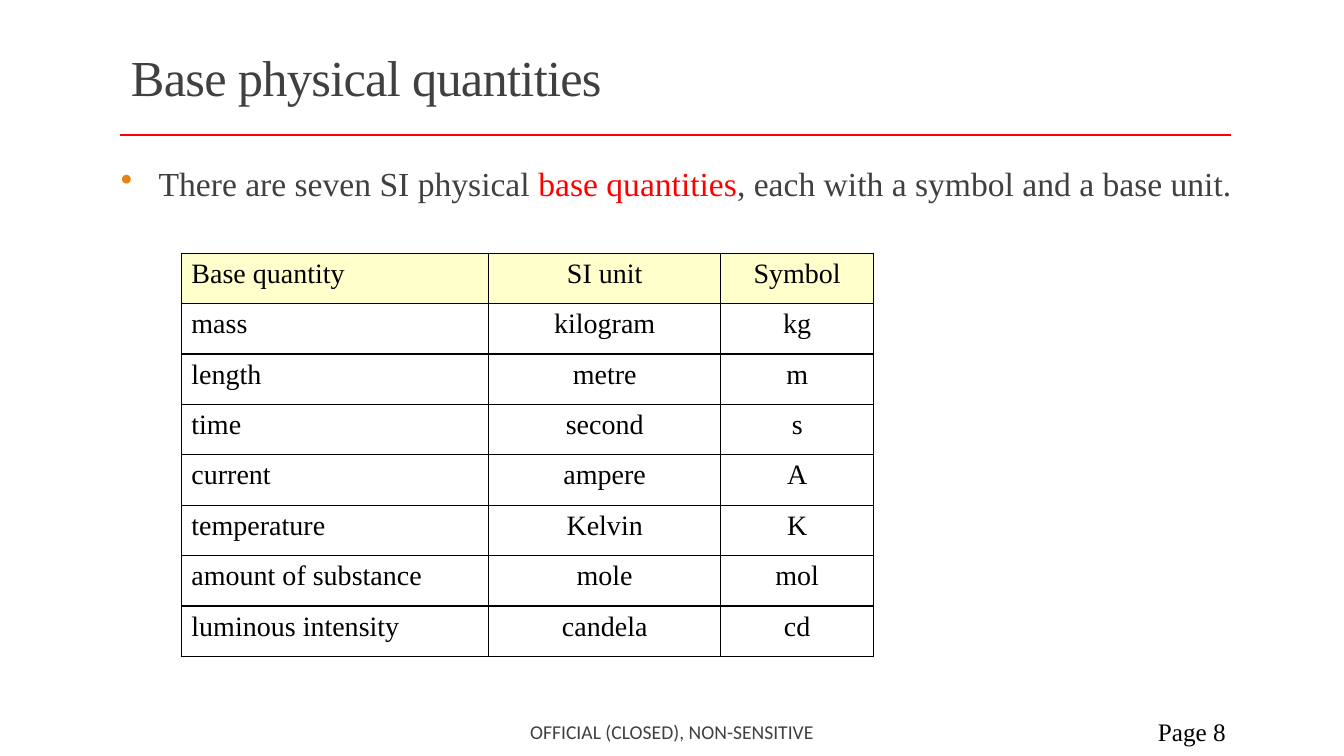
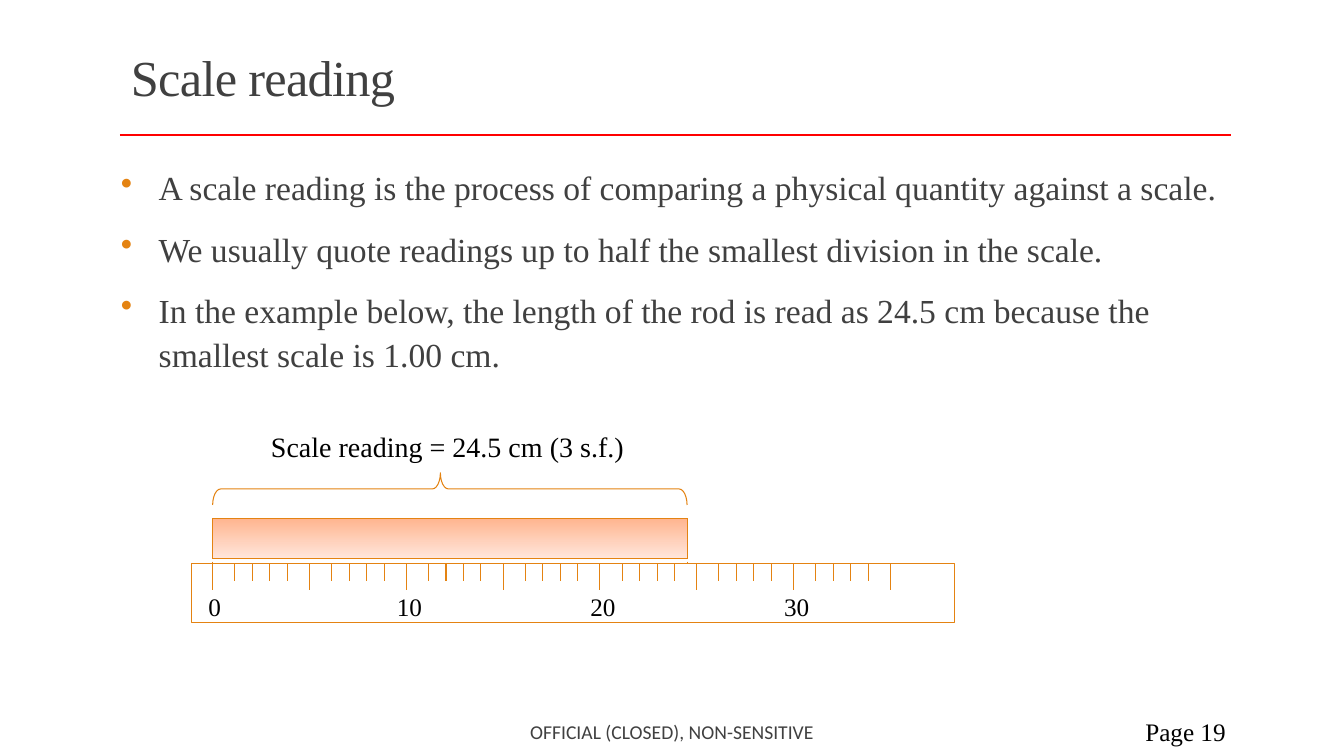
from dataclasses import dataclass
from typing import Optional

from lxml import etree
from pptx import Presentation
from pptx import util as u
from pptx.dml import color as col
from pptx.enum import dml, shapes, text
from pptx.oxml import ns


@dataclass(frozen=True)
class Theme:
    serif: str = "Times New Roman"
    sans: str = "Calibri"
    ink: str = "404040"
    black: str = "000000"
    red: str = "FF0000"
    accent: str = "E48312"
    header_fill: str = "FFFFCC"
    rod_top: str = "FFB48E"
    rod_bottom: str = "FFE7DD"
    title_size: float = 36
    body_size: float = 24
    table_size: float = 20
    label_size: float = 18
    footer_size: float = 14
    thin: float = 0.75
    border: float = 1
    rule: float = 2


@dataclass(frozen=True)
class Box:
    left: float
    top: float
    width: float
    height: float

    def emu(self) -> tuple:
        return tuple(u.Cm(v) for v in (self.left, self.top, self.width, self.height))


@dataclass(frozen=True)
class Run:
    words: str
    size: float
    color: str
    font: str = "Times New Roman"


@dataclass(frozen=True)
class BulletStyle:
    before: float
    after: float = 6
    line: Optional[float] = None


THEME = Theme()
LEFT, CENTER, RIGHT = text.PP_ALIGN.LEFT, text.PP_ALIGN.CENTER, text.PP_ALIGN.RIGHT
TOP, MIDDLE = text.MSO_ANCHOR.TOP, text.MSO_ANCHOR.MIDDLE

TITLE_BOX = Box(3.05, 0.79, 27.94, 2.49)
BODY_BOX = Box(3.05, 3.99, 28, 13)
FOOTER_BOX = Box(10.24, 17.93, 13.39, 1.02)
PAGE_BOX = Box(27.51, 17.93, 3.63, 1.02)
RULE_LEFT, RULE_RIGHT, RULE_Y = 3.02, 31.01, 3.4

QUANTITIES = [
    ("Base quantity", "SI unit", "Symbol"),
    ("mass", "kilogram", "kg"),
    ("length", "metre", "m"),
    ("time", "second", "s"),
    ("current", "ampere", "A"),
    ("temperature", "Kelvin", "K"),
    ("amount of substance", "mole", "mol"),
    ("luminous intensity", "candela", "cd"),
]
COLUMN_WIDTHS = (7.75, 5.84, 3.86)
ROW_HEIGHT = 1.27

RULER = Box(4.83, 14.2, 19.23, 1.5)
RULER_ZERO = 5.36
MAJOR_STEP = 2.44
MAJOR_COUNT = 8
MINOR_OFFSETS = [0.56 + 0.44 * k for k in range(4)]
READING = 24.5
ROD = Box(RULER_ZERO, 13.06, READING / 5 * MAJOR_STEP, 1.02)


def rgb(value: str) -> col.RGBColor:
    return col.RGBColor.from_string(value)


def add_run(paragraph, run: Run):
    added = paragraph.add_run()
    added.text = run.words
    added.font.size = u.Pt(run.size)
    added.font.name = run.font
    added.font.color.rgb = rgb(run.color)
    return added


def add_text(slide, box: Box, run: Run, align=LEFT, anchor=TOP):
    frame = slide.shapes.add_textbox(*box.emu()).text_frame
    frame.word_wrap = True
    frame.vertical_anchor = anchor
    frame.paragraphs[0].alignment = align
    return frame.paragraphs[0], add_run(frame.paragraphs[0], run)


def add_line(slide, x1: float, y1: float, x2: float, y2: float,
             color: str, width: float, dashed: bool = False) -> None:
    line = slide.shapes.add_connector(
        shapes.MSO_CONNECTOR.STRAIGHT, u.Cm(x1), u.Cm(y1), u.Cm(x2), u.Cm(y2))
    line.line.color.rgb = rgb(color)
    line.line.width = u.Pt(width)
    if dashed:
        line.line.dash_style = dml.MSO_LINE.DASH
    etree.SubElement(line._element.spPr, ns.qn("a:effectLst"))


def add_outline(slide, preset, box: Box):
    outline = slide.shapes.add_shape(preset, *box.emu())
    outline.shadow.inherit = False
    outline.fill.background()
    outline.line.color.rgb = rgb(THEME.accent)
    outline.line.width = u.Pt(THEME.thin)
    return outline


def add_bullets(slide, items: list[list[Run]], style: BulletStyle) -> None:
    frame = slide.shapes.add_textbox(*BODY_BOX.emu()).text_frame
    frame.word_wrap = True
    frame.margin_left = frame.margin_right = 0
    for index, runs in enumerate(items):
        paragraph = frame.add_paragraph() if index else frame.paragraphs[0]
        properties = paragraph._p.get_or_add_pPr()
        properties.set("marL", str(u.Cm(0.95)))
        properties.set("indent", str(u.Cm(-0.95)))
        bullet_color = etree.SubElement(properties, ns.qn("a:buClr"))
        etree.SubElement(bullet_color, ns.qn("a:srgbClr"), val=THEME.accent)
        etree.SubElement(properties, ns.qn("a:buChar"), char="•")
        if index:
            paragraph.space_before = u.Pt(style.before)
        paragraph.space_after = u.Pt(style.after)
        if style.line:
            paragraph.line_spacing = style.line
        for run in runs:
            add_run(paragraph, run)


def add_slide(deck, title: str, page: int):
    slide = deck.slides.add_slide(deck.slide_layouts[6])
    add_line(slide, RULE_LEFT, RULE_Y, RULE_RIGHT, RULE_Y, THEME.red, THEME.rule)
    heading, heading_run = add_text(
        slide, TITLE_BOX, Run(title, THEME.title_size, THEME.ink), anchor=MIDDLE)
    heading.line_spacing = 0.85
    heading_run.font._element.set("spc", "-50")
    add_text(slide, PAGE_BOX, Run(f"Page {page}", THEME.label_size, THEME.black),
             RIGHT, MIDDLE)
    add_text(slide, FOOTER_BOX,
             Run("OFFICIAL (CLOSED), NON-SENSITIVE", THEME.footer_size, THEME.ink, THEME.sans),
             CENTER, MIDDLE)
    return slide


def set_borders(cell) -> None:
    properties = cell._tc.get_or_add_tcPr()
    for index, side in enumerate(("lnL", "lnR", "lnT", "lnB")):
        edge = etree.Element(ns.qn(f"a:{side}"), w=str(u.Pt(THEME.border)))
        fill = etree.SubElement(edge, ns.qn("a:solidFill"))
        etree.SubElement(fill, ns.qn("a:srgbClr"), val=THEME.black)
        properties.insert(index, edge)


def add_quantities(slide) -> None:
    box = Box(4.57, 6.38, sum(COLUMN_WIDTHS), ROW_HEIGHT * len(QUANTITIES))
    table = slide.shapes.add_table(
        len(QUANTITIES), len(COLUMN_WIDTHS), *box.emu()).table
    table.first_row = table.horz_banding = False
    for column, width in zip(table.columns, COLUMN_WIDTHS):
        column.width = u.Cm(width)
    for r, row in enumerate(QUANTITIES):
        for c, words in enumerate(row):
            cell = table.cell(r, c)
            if r == 0:
                cell.fill.solid()
                cell.fill.fore_color.rgb = rgb(THEME.header_fill)
            else:
                cell.fill.background()
            set_borders(cell)
            paragraph = cell.text_frame.paragraphs[0]
            paragraph.alignment = CENTER if c else LEFT
            add_run(paragraph, Run(words, THEME.table_size, THEME.black))


def add_ruler(slide) -> None:
    add_outline(slide, shapes.MSO_SHAPE.RECTANGLE, RULER)

    def add_tick(x: float, length: float) -> None:
        add_line(slide, x, RULER.top, x, RULER.top + length, THEME.accent, THEME.thin)

    for major in range(MAJOR_COUNT):
        x = RULER_ZERO + major * MAJOR_STEP
        add_tick(x, 0.66)
        if major < MAJOR_COUNT - 1:
            for offset in MINOR_OFFSETS:
                add_tick(x + offset, 0.43)
        if major % 2 == 0:
            left = x - 0.49 if major else x - 0.36
            add_text(slide, Box(left, 14.78, 1.4, 0.94),
                     Run(str(major * 5), THEME.label_size, THEME.black))


def add_rod(slide) -> None:
    rod = add_outline(slide, shapes.MSO_SHAPE.RECTANGLE, ROD)
    rod.fill.gradient()
    rod.fill.gradient_angle = 270
    for stop, color in zip(rod.fill.gradient_stops, (THEME.rod_top, THEME.rod_bottom)):
        stop.color.rgb = rgb(color)
    for x in (ROD.left, ROD.left + ROD.width):
        add_line(slide, x, ROD.top, x, RULER.top, THEME.accent, THEME.thin, dashed=True)

    depth, center_y = 0.81, 12.32
    brace = add_outline(slide, shapes.MSO_SHAPE.RIGHT_BRACE, Box(
        ROD.left + (ROD.width - depth) / 2, center_y - ROD.width / 2, depth, ROD.width))
    brace.rotation = 270
    brace.adjustments[0] = 0.25
    brace.adjustments[1] = 0.48
    add_text(slide, Box(6.58, 10.69, 10.13, 1.12),
             Run("Scale reading = 24.5 cm (3 s.f.)", THEME.table_size, THEME.black))


def body(words: str, color: str = THEME.ink) -> Run:
    return Run(words, THEME.body_size, color)


def main() -> None:
    deck = Presentation()
    deck.slide_width, deck.slide_height = u.Cm(33.87), u.Cm(19.05)

    quantities = add_slide(deck, "Base physical quantities", 8)
    add_bullets(quantities, [[
        body("There are seven SI physical "),
        body("base quantities", THEME.red),
        body(", each with a symbol and a base unit."),
    ]], BulletStyle(before=18))
    add_quantities(quantities)

    scale = add_slide(deck, "Scale reading", 19)
    add_bullets(scale, [
        [body("A scale reading is the process of comparing a physical quantity against a scale.")],
        [body("We usually quote readings up to half the smallest division in the scale.")],
        [body("In the example below, the length of the rod is read as 24.5 cm because the "
              "smallest scale is 1.00 cm.")],
    ], BulletStyle(before=6, line=1.1))
    add_ruler(scale)
    add_rod(scale)

    deck.save("out.pptx")


if __name__ == "__main__":
    main()
